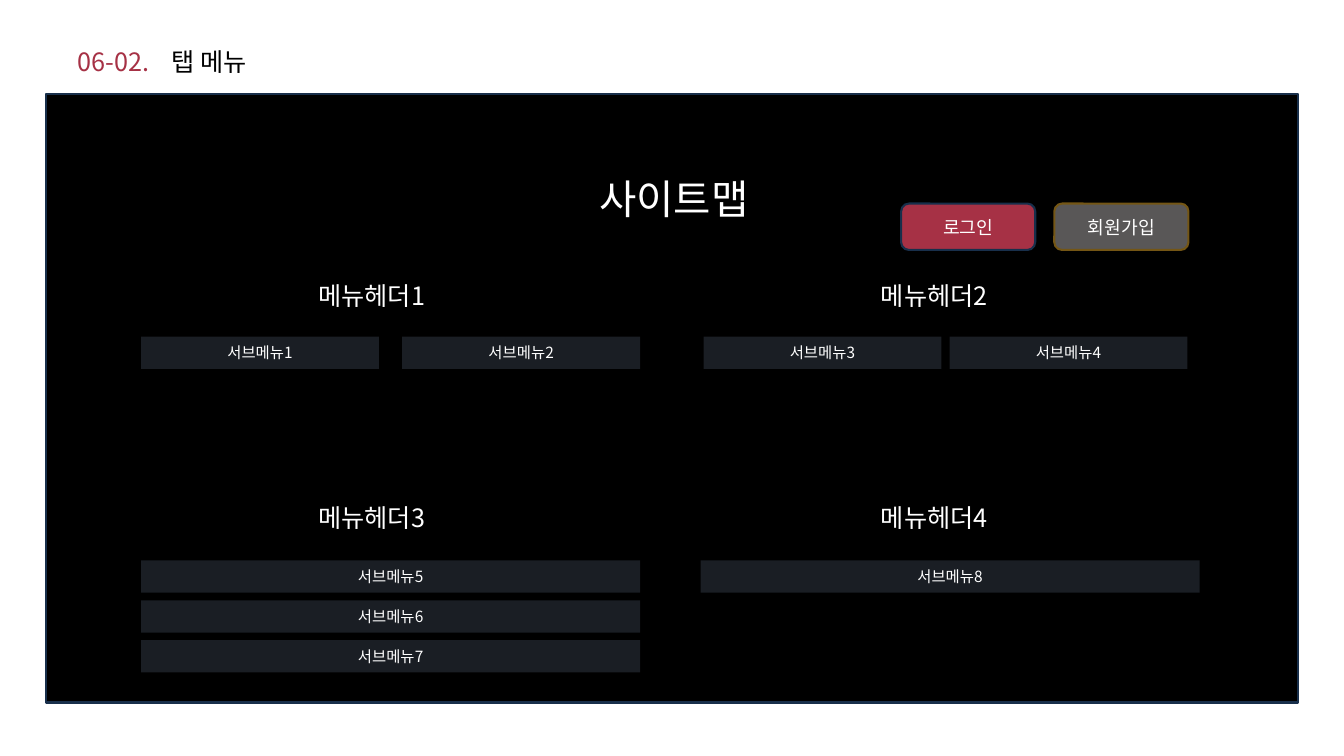
from lxml import etree
from pptx import Presentation, util as u
from pptx.dml.color import RGBColor
from pptx.enum import shapes, text
from pptx.oxml.ns import qn

STEP = 0.1  # inches per grid column and row
FONT = "Noto Sans CJK KR"
WHITE, BLACK, CRIMSON = "FFFFFF", "000000", "A63145"
NAVY, BAR, GREY, BRONZE = "182F4B", "1A1E24", "595757", "745615"
CENTER, LEFT = text.PP_ALIGN.CENTER, text.PP_ALIGN.LEFT


def color(value):
    return RGBColor.from_string(value)


def grid(count):
    return u.Inches(count * STEP)


class SitemapSlide:
    """Holds the slide and its style; lengths are grid columns and rows."""

    def __init__(self, deck):
        self.slide = deck.slides.add_slide(deck.slide_layouts[5])

    def add_runs(self, paragraph, runs, size, align):
        """Add (wording, colour) runs in the slide's font."""
        paragraph.alignment = align
        for wording, shade in runs:
            run = paragraph.add_run()
            run.text = wording
            run.font.size = u.Pt(size)
            run.font.name = FONT
            run.font.color.rgb = color(shade)
            east_asian = etree.SubElement(run.font._element, qn("a:ea"))
            east_asian.set("typeface", FONT)

    def title(self, number, wording, x, y, w, h, tab):
        """Fill the title, with a tab stop between number and wording."""
        title = self.slide.shapes.title
        title.left, title.top, title.width, title.height = map(grid, (x, y, w, h))
        frame = title.text_frame
        frame.auto_size = text.MSO_AUTO_SIZE.NONE
        frame.vertical_anchor = text.MSO_ANCHOR.MIDDLE
        paragraph = frame.paragraphs[0]
        stops = etree.SubElement(paragraph._p.get_or_add_pPr(), qn("a:tabLst"))
        etree.SubElement(stops, qn("a:tab"), pos=str(grid(tab)), algn="l")
        self.add_runs(paragraph, [(number + "\t", CRIMSON), (wording, BLACK)], 18, LEFT)

    def heading(self, wording, x, y, w, h, size, align=LEFT):
        frame = self.slide.shapes.add_textbox(*map(grid, (x, y, w, h))).text_frame
        frame.word_wrap = True
        frame.auto_size = text.MSO_AUTO_SIZE.SHAPE_TO_FIT_TEXT
        self.add_runs(frame.paragraphs[0], [(wording, WHITE)], size, align)

    def block(self, x, y, w, h, fill, line=None, wording=None, size=11, rounded=False):
        kind = shapes.MSO_SHAPE.ROUNDED_RECTANGLE if rounded else shapes.MSO_SHAPE.RECTANGLE
        block = self.slide.shapes.add_shape(kind, *map(grid, (x, y, w, h)))
        block.shadow.inherit = False
        block.fill.solid()
        block.fill.fore_color.rgb = color(fill)
        if line:
            block.line.color.rgb = color(line)
            block.line.width = u.Pt(1.5)
        else:
            block.line.fill.background()
        if wording:
            frame = block.text_frame
            frame.vertical_anchor = text.MSO_ANCHOR.MIDDLE
            self.add_runs(frame.paragraphs[0], [(wording, WHITE)], size, CENTER)

    def menu(self, number, x, y, submenus, bar_x, bar_y, bar_w, step_x, step_y):
        """Place a header over its submenu bars, which advance by the two steps."""
        self.heading(f"메뉴헤더{number}", x + 16.6, y, 14.2, 4, 18)
        for i, submenu in enumerate(submenus):
            self.block(bar_x + i * step_x, bar_y + i * step_y, bar_w, 3.2,
                       BAR, wording=f"서브메뉴{submenu}")


def main():
    deck = Presentation()
    deck.slide_width, deck.slide_height = grid(133.33), grid(75)
    sitemap = SitemapSlide(deck)
    sitemap.title("06-02.", "탭 메뉴", 6.7, 3, 120.2, 6.2, tab=9.35)
    sitemap.block(4.6, 9.3, 124.2, 60.4, BLACK, NAVY)
    sitemap.heading("사이트맵", 56.8, 16.8, 20.1, 5.8, 29, CENTER)

    left, right, upper, lower = 14, 69.8, 27.3, 49.3
    half, full = 23.6, 49.5
    sitemap.menu(1, left, upper, [1, 2], left, 33.4, half, 25.9, 0)
    sitemap.menu(2, right, upper, [3, 4], right, 33.4, half, 24.4, 0)
    sitemap.menu(3, left, lower, [5, 6, 7], left, 55.6, full, 0, 3.95)
    sitemap.menu(4, right, lower, [8], 69.5, 55.6, full, 0, 0)

    buttons = [("로그인", CRIMSON, NAVY), ("회원가입", GREY, BRONZE)]
    for i, (wording, fill, line) in enumerate(buttons):
        sitemap.block(89.4 + i * 15.2, 20.2, 13.3, 4.6, fill, line, wording, 13, rounded=True)

    deck.save("out.pptx")


if __name__ == "__main__":
    main()
